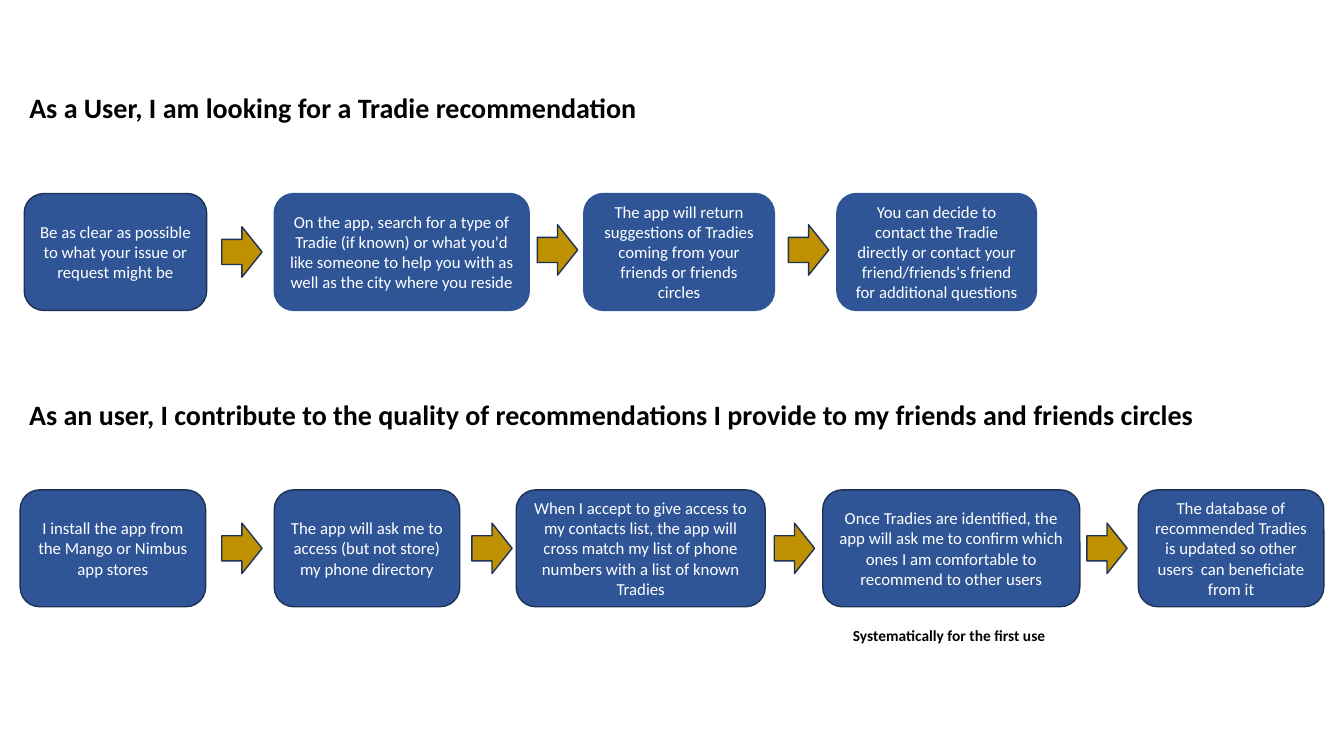
"""Build a slide with two user journeys drawn as rows of cards and arrows."""
import pptx
import pptx.dml.color
import pptx.enum.shapes
import pptx.enum.text
import pptx.util
from dataclasses import dataclass

SEARCH_TITLE = "As a User, I am looking for a Tradie recommendation"
CONTRIBUTE_TITLE = ("As an user, I contribute to the quality of recommendations "
                    "I provide to my friends and friends circles")
FOOTNOTE = "Systematically for the first use"


@dataclass(frozen=True)
class Theme:
    font: str = "Calibri"
    card: str = "2F5597"
    arrow: str = "BF9000"
    outline: str = "1E3256"
    ink: str = "000000"
    paper: str = "FFFFFF"
    heading: int = 20
    body: int = 12
    note: int = 11


THEME = Theme()
WIDTH, HEIGHT = 13.33, 7.5
CARD_HEIGHT = 1.16
ARROW_WIDTH, ARROW_HEIGHT = 0.4, 0.5

LANES = [
    {
        "top": 1.92,
        "cards": [
            (0.24, 1.81, THEME.outline,
             "Be as clear as possible to what your issue or request might be"),
            (2.72, 2.53, THEME.card,
             "On the app, search for a type of Tradie (if known) or what you'd "
             "like someone to help you with as well as the city where you reside "),
            (5.79, 1.89, THEME.card,
             "The app will return suggestions of Tradies coming from your "
             "friends or friends circles"),
            (8.3, 1.98, THEME.card,
             "You can decide to contact the Tradie directly or contact your "
             "friend/friends's friend for additional questions"),
        ],
        "arrows": [(2.2, 0), (5.33, 0.02), (7.82, 0.02)],
    },
    {
        "top": 4.86,
        "cards": [
            (0.2, 1.84, THEME.outline,
             "I install the app from the Mango or Nimbus app stores"),
            (2.72, 1.84, THEME.outline,
             "The app will ask me to access (but not store) my phone directory"),
            (5.12, 2.47, THEME.outline,
             "When I accept to give access to my contacts list, the app will "
             "cross match my list of phone numbers with a list of known Tradies"),
            (8.16, 2.55, THEME.outline,
             "Once Tradies are identified, the app will ask me to confirm which "
             "ones I am comfortable to recommend to other users"),
            (11.29, 1.84, THEME.outline,
             "The database of recommended Tradies is updated so other "
             "users  can beneficiate from it"),
        ],
        "arrows": [(2.2, 0), (4.68, 0), (7.68, 0), (10.78, 0)],
    },
]


def inches(*lengths):
    return [pptx.util.Inches(n) for n in lengths]


def rgb(code):
    return pptx.dml.color.RGBColor.from_string(code)


def write(sp, text, size, color, bold=False, centred=False):
    tf = sp.text_frame
    tf.word_wrap = True
    tf.auto_size = pptx.enum.text.MSO_AUTO_SIZE.NONE
    tf.vertical_anchor = pptx.enum.text.MSO_ANCHOR.MIDDLE
    p = tf.paragraphs[0]
    align = pptx.enum.text.PP_ALIGN
    p.alignment = align.CENTER if centred else align.LEFT
    p.line_spacing = 1.0 if centred else 0.9
    p.space_before = pptx.util.Pt(0)
    r = p.add_run()
    r.text = text
    r.font.name = THEME.font
    r.font.size = pptx.util.Pt(size)
    r.font.bold = bold
    r.font.color.rgb = rgb(color)


def add_block(s, kind, box, fill, outline):
    sp = s.shapes.add_shape(kind, *inches(*box))
    sp.shadow.inherit = False
    sp.fill.solid()
    sp.fill.fore_color.rgb = rgb(fill)
    sp.line.color.rgb = rgb(outline)
    sp.line.width = pptx.util.Pt(1)
    return sp


def add_lane(s, lane):
    kinds = pptx.enum.shapes.MSO_SHAPE
    for left, width, outline, text in lane["cards"]:
        box = (left, lane["top"], width, CARD_HEIGHT)
        sp = add_block(s, kinds.ROUNDED_RECTANGLE, box, THEME.card, outline)
        write(sp, text, THEME.body, THEME.paper, centred=True)
    arrow_top = lane["top"] + (CARD_HEIGHT - ARROW_HEIGHT) / 2
    for left, lift in lane["arrows"]:
        box = (left, arrow_top - lift, ARROW_WIDTH, ARROW_HEIGHT)
        add_block(s, kinds.RIGHT_ARROW, box, THEME.arrow, THEME.outline)


def main():
    prs = pptx.Presentation()
    prs.slide_width, prs.slide_height = inches(WIDTH, HEIGHT)
    s = prs.slides.add_slide(prs.slide_layouts[5])
    title = s.shapes.title
    title.left, title.top, title.width, title.height = inches(0.19, 0.85, 12.23, 0.48)
    write(title, SEARCH_TITLE, THEME.heading, THEME.ink, bold=True)
    for text, size, box in [
        (CONTRIBUTE_TITLE, THEME.heading, (0.19, 3.63, 11.87, 1)),
        (FOOTNOTE, THEME.note, (8.36, 5.81, 2.61, 1)),
    ]:
        write(s.shapes.add_textbox(*inches(*box)), text, size, THEME.ink, bold=True)
    for lane in LANES:
        add_lane(s, lane)
    prs.save("out.pptx")


if __name__ == "__main__":
    main()
